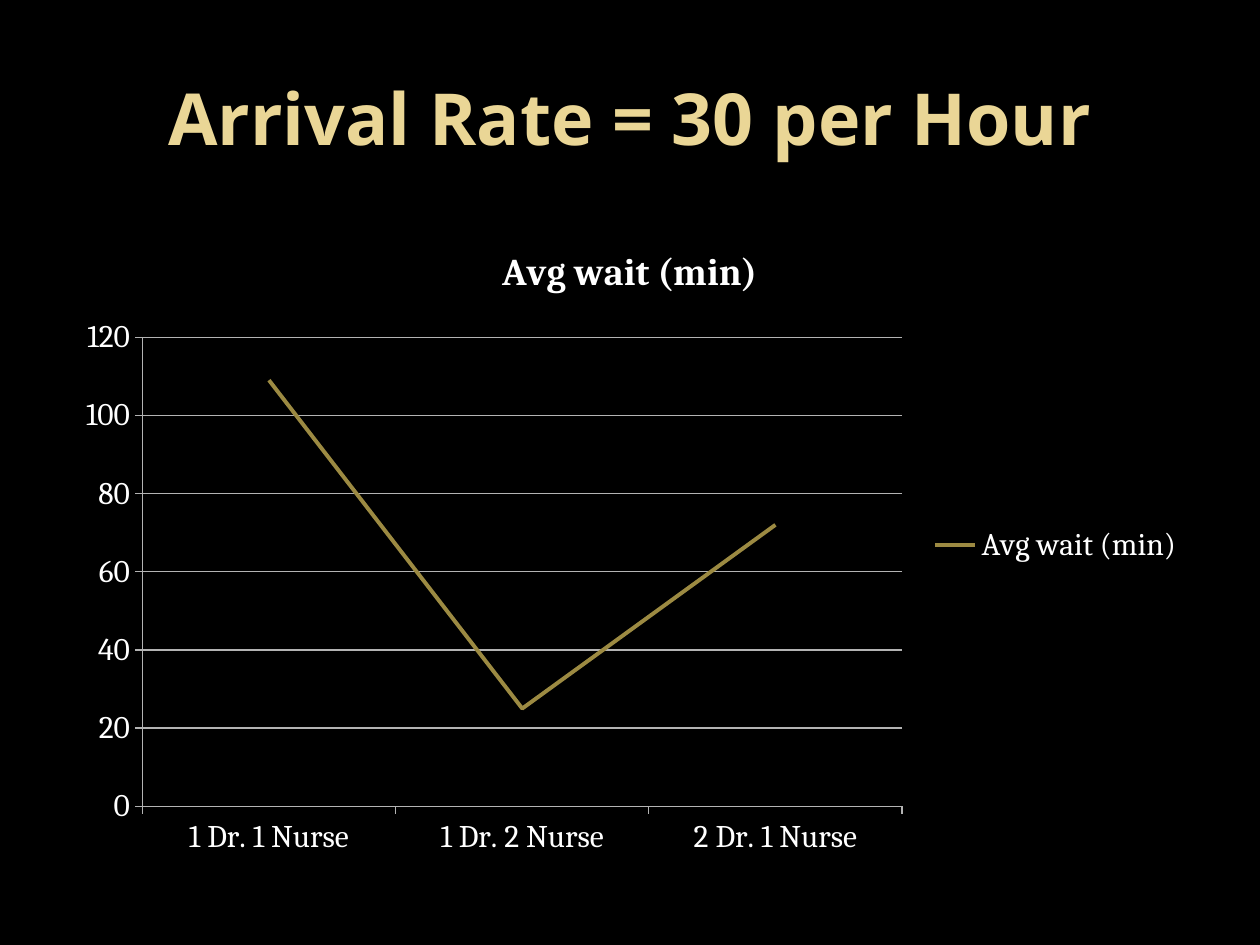
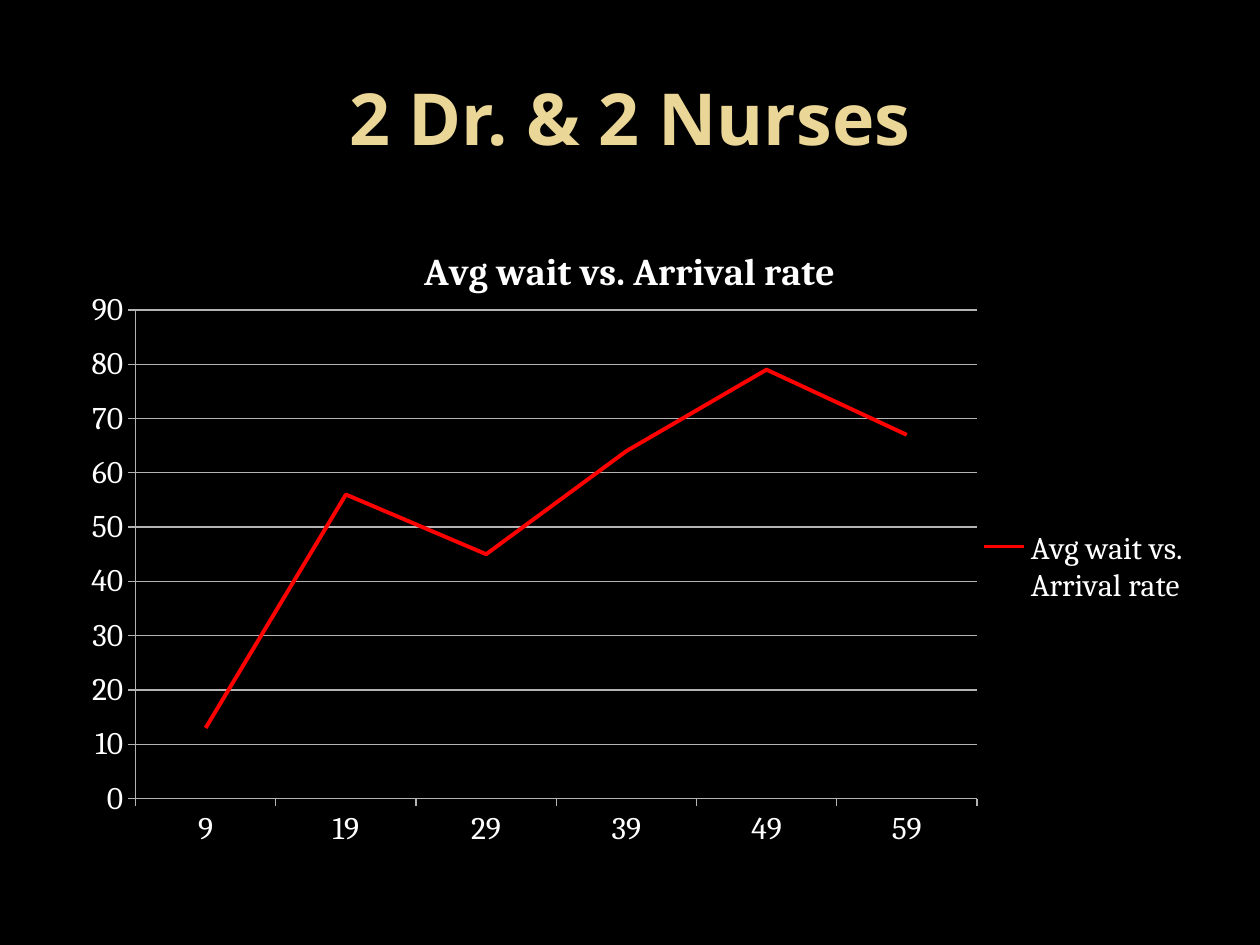
from dataclasses import dataclass

from lxml import etree
from pptx import Presentation
from pptx.chart.data import CategoryChartData
from pptx.dml.color import RGBColor
from pptx.enum import chart as charts, text
from pptx.oxml import ns
from pptx.util import Pt

BLACK = RGBColor(0x00, 0x00, 0x00)
WHITE = RGBColor(0xFF, 0xFF, 0xFF)
CREAM = RGBColor(0xEA, 0xD6, 0x96)
GOLD = RGBColor(0x9C, 0x8A, 0x42)
RED = RGBColor(0xFF, 0x00, 0x00)
GREY = RGBColor(0xB3, 0xB3, 0xB3)
HEAD_FONT = "Noto Sans"
BODY_FONT = "Cambria"
LEFT, WIDTH = Pt(36), Pt(648)

Box = tuple[float, float, float, float]


@dataclass(frozen=True)
class Trend:
    """A slide with one line chart; plot and key are x, y, w, h in percent."""
    title: str
    name: str
    waits: dict[str, int]
    color: RGBColor
    plot: Box
    key: Box | None = None


TRENDS = (
    Trend("Arrival Rate = 30 per Hour", "Avg wait (min)",
          {"1 Dr. 1 Nurse": 109, "1 Dr. 2 Nurse": 25, "2 Dr. 1 Nurse": 72},
          GOLD, (7, 18, 67, 72.3)),
    Trend("2 Dr. & 2 Nurses", "Avg wait vs. Arrival rate",
          {"9": 13, "19": 56, "29": 45, "39": 64, "49": 79, "59": 67},
          RED, (6.4, 13.8, 74.2, 75.3), (80.6, 47.5, 18.8, 12)),
)


def style(font, name: str, size: float, color: RGBColor, bold: bool) -> None:
    """Set the face, size, colour and weight of a font."""
    font.name, font.size, font.bold = name, Pt(size), bold
    font.color.rgb = color


def add_title(slide, title: str) -> None:
    """Add the centred slide title."""
    frame = slide.shapes.add_textbox(LEFT, Pt(21.6), WIDTH, Pt(90)).text_frame
    frame.word_wrap = True
    frame.vertical_anchor = text.MSO_ANCHOR.MIDDLE
    para = frame.paragraphs[0]
    para.alignment = text.PP_ALIGN.CENTER
    run = para.add_run()
    run.text = title
    style(run.font, HEAD_FONT, 41, CREAM, True)


def place(chart, tag: str, index: int, box: Box, inner: bool = False) -> None:
    """Fix a chart part in a box, with its layout as the child at index."""
    part = chart.element.find(".//" + ns.qn(tag))
    for old in part.findall(ns.qn("c:layout")):
        part.remove(old)
    layout = etree.Element(ns.qn("c:layout"))
    part.insert(index, layout)
    manual = etree.SubElement(layout, ns.qn("c:manualLayout"))
    items = [("layoutTarget", "inner")] if inner else []
    items += [("xMode", "edge"), ("yMode", "edge")]
    items += [(side, f"{value / 100:.3f}") for side, value in zip("xywh", box)]
    for name, value in items:
        etree.SubElement(manual, ns.qn(f"c:{name}"), val=value)


def add_trend(slide, trend: Trend) -> None:
    """Add the line chart of a trend."""
    data = CategoryChartData()
    data.categories = list(trend.waits)
    data.add_series(trend.name, list(trend.waits.values()))
    chart = slide.shapes.add_chart(
        charts.XL_CHART_TYPE.LINE, LEFT, Pt(126), WIDTH, Pt(370.8), data).chart
    style(chart.font, BODY_FONT, 18, WHITE, False)

    chart.has_title = True
    run = chart.chart_title.text_frame.paragraphs[0].add_run()
    run.text = trend.name
    style(run.font, BODY_FONT, 21.6, WHITE, True)

    chart.has_legend = True
    chart.legend.position = charts.XL_LEGEND_POSITION.RIGHT
    chart.legend.include_in_layout = False

    chart.value_axis.has_major_gridlines = True
    axes = (chart.category_axis, chart.value_axis)
    for axis in axes:
        axis.major_tick_mark = charts.XL_TICK_MARK.OUTSIDE
    for part in (*axes, chart.value_axis.major_gridlines):
        part.format.line.color.rgb = GREY
        part.format.line.width = Pt(0.75)

    chart.plots[0].vary_by_categories = False
    series = chart.plots[0].series[0]
    series.smooth = False
    series.marker.style = charts.XL_MARKER_STYLE.NONE
    series.format.line.color.rgb = trend.color
    series.format.line.width = Pt(2.25)
    place(chart, "c:plotArea", 0, trend.plot, inner=True)
    if trend.key:
        place(chart, "c:legend", 1, trend.key)


def main() -> None:
    """Build and save the slides."""
    deck = Presentation()
    deck.slide_width, deck.slide_height = Pt(720), Pt(540)
    for trend in TRENDS:
        slide = deck.slides.add_slide(deck.slide_layouts[6])
        slide.background.fill.solid()
        slide.background.fill.fore_color.rgb = BLACK
        add_title(slide, trend.title)
        add_trend(slide, trend)
    deck.save("out.pptx")


if __name__ == "__main__":
    main()
